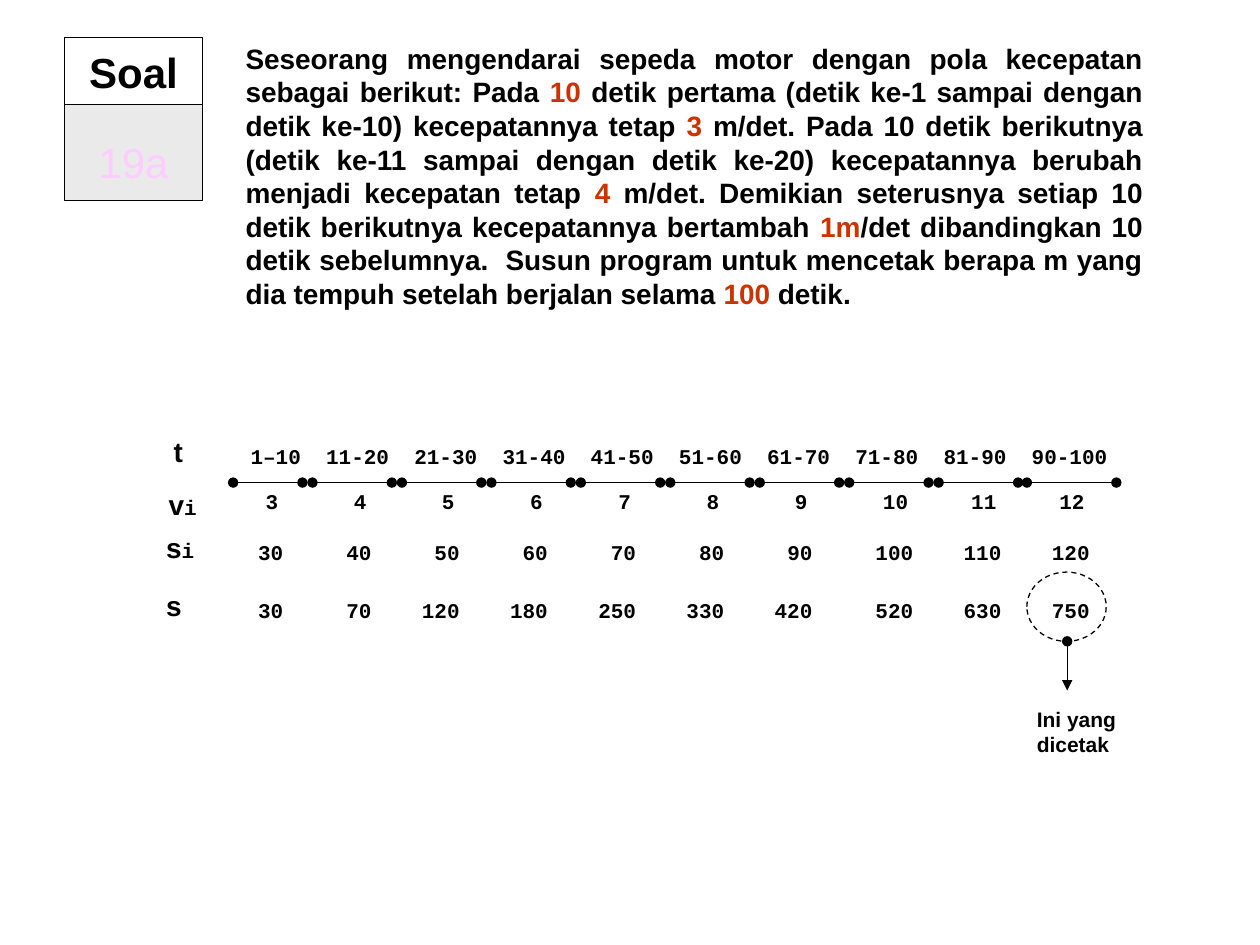
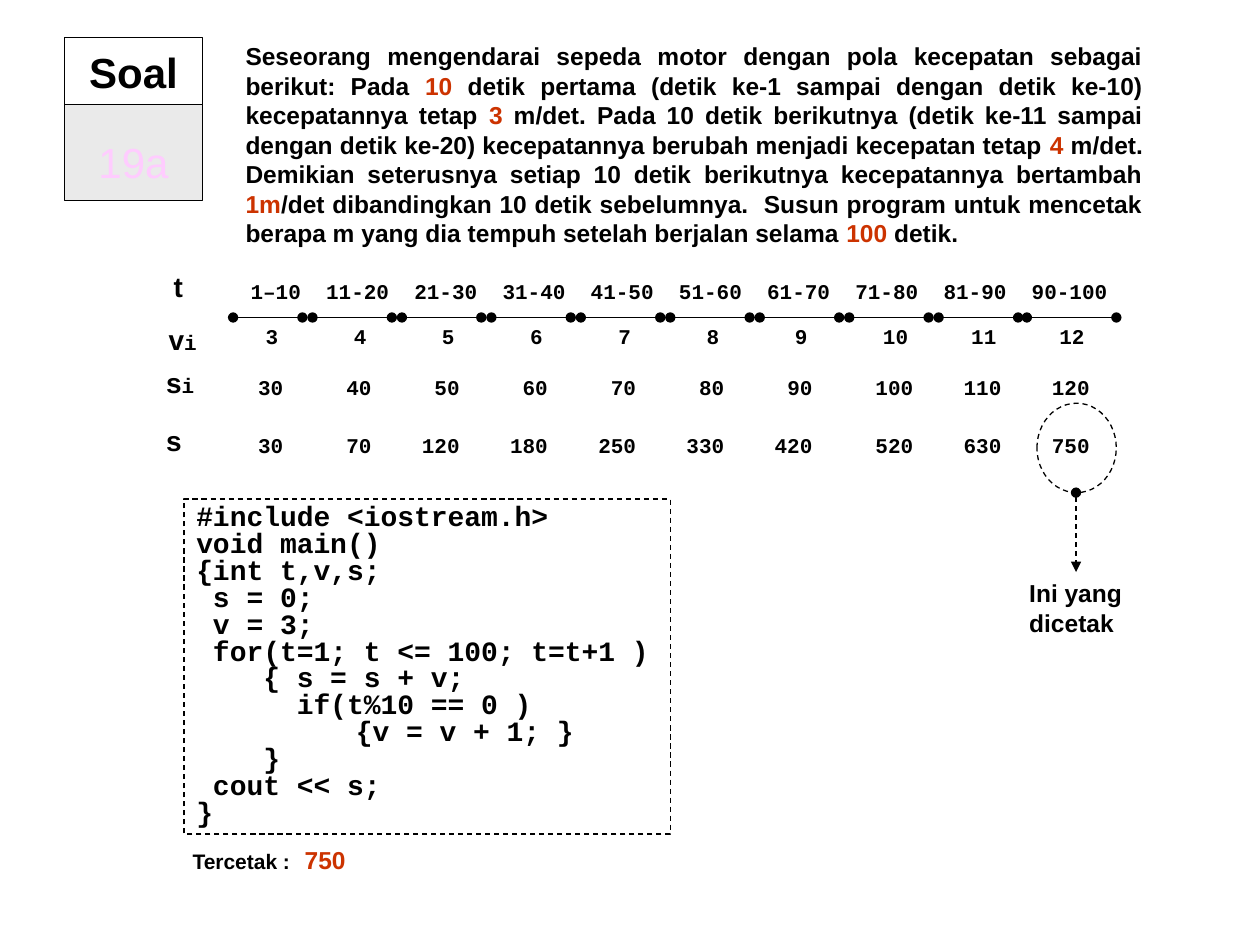
from pptx import Presentation
from pptx.dml.color import RGBColor
from pptx.enum.dml import MSO_LINE
from pptx.enum.shapes import MSO_CONNECTOR, MSO_SHAPE
from pptx.enum.text import MSO_ANCHOR, MSO_AUTO_SIZE, PP_ALIGN
from pptx.oxml.ns import qn
from pptx.util import Inches, Pt
from lxml.etree import SubElement

COLORS = {name: RGBColor.from_string(value) for name, value in {
    "ink": "000000", "accent": "CC3300", "panel": "EAEAEA", "number": "FFCCFF",
}.items()}
SANS, MONO = "Arial", "Courier New"

QUESTION = [
    ("Seseorang mengendarai sepeda motor dengan pola kecepatan sebagai berikut: Pada ", {}),
    ("10 ", {"color": "accent"}),
    ("detik pertama (detik ke-1 sampai dengan detik ke-10) kecepatannya tetap ", {}),
    ("3", {"color": "accent"}),
    (" m/det. Pada 10 detik berikutnya (detik ke-11 sampai dengan detik ke-20) "
     "kecepatannya berubah menjadi kecepatan tetap ", {}),
    ("4", {"color": "accent"}),
    (" m/det. Demikian seterusnya setiap 10 detik berikutnya kecepatannya bertambah ", {}),
    ("1m", {"color": "accent"}),
    ("/det dibandingkan 10 detik sebelumnya.  Susun program untuk mencetak berapa m yang "
     "dia tempuh setelah berjalan selama ", {}),
    ("100", {"color": "accent"}),
    (" detik.", {}),
]
CODE = """#include <iostream.h>
void main()
{int t,v,s;
 s = 0;
 v = 3;
 for(t=1; t <= 100; t=t+1 )
    { s = s + v;
      if(t%10 == 0 )
\t  {v = v + 1; }
    }
 cout << s;
}"""

EVEN_TABS = [0.7 * step for step in range(1, 10)]
TIME_TABS = [0.6 + 0.7 * step for step in range(9)]
TOTAL_TABS = [0.7, 1.3, 2, 2.7, 3.4, 4.1, 4.9, 5.6, 6.3]
SUBSCRIPT = ("i", {"size": 12, "font": MONO})
ROWS = [
    ([("t", {})], 1.28, 0, 1.89, 0.07, TIME_TABS,
     "1–10 11-20 21-30 31-40 41-50 51-60 61-70 71-80 81-90 90-100"),
    ([("v", {}), SUBSCRIPT], 1.24, 0.42, 2.01, 0.43, EVEN_TABS, "3 4 5 6 7 8 9 10 11 12"),
    ([("s", {}), SUBSCRIPT], 1.22, 0.76, 1.95, 0.83, EVEN_TABS,
     "30 40 50 60 70 80 90 100 110 120"),
    ([("s", {})], 1.22, 1.22, 1.95, 1.29, TOTAL_TABS,
     "30 70 120 180 250 330 420 520 630 750"),
]
INTERVALS = [(1.85, 2.4)] + [(2.48 + 0.71 * step, 3.11 + 0.71 * step) for step in range(8)]
INTERVALS.append((8.15, 8.86))

SLIDES = [
    {"question_size": 16, "question_height": 2.24, "table_top": 3.4,
     "circle": (8.15, 4.54, 0.63, 0.55), "arrow": (8.47, 5.09, 8.47, 5.48), "arrow_dash": None,
     "note": (8.13, 5.56, 1.28, 0.5), "note_size": 12, "code": False},
    {"question_size": 14, "question_height": 1.74, "table_top": 2.09,
     "circle": (8.23, 3.2, 0.63, 0.71), "arrow": (8.54, 3.91, 8.54, 4.54),
     "arrow_dash": MSO_LINE.DASH,
     "note": (8.07, 4.54, 1.18, 0.57), "note_size": 14, "code": True},
]


def add_text(page, at, spans, size, font=SANS, tabs=()):
    box = page.shapes.add_textbox(*map(Inches, at))
    box.text_frame.word_wrap = True
    para = box.text_frame.paragraphs[0]
    if tabs:
        stops = SubElement(para._p.get_or_add_pPr(), qn("a:tabLst"))
        for position in tabs:
            SubElement(stops, qn("a:tab"), pos=str(Inches(position)), algn="l")
    para.font.name, para.font.size, para.font.bold = font, Pt(size), True
    para.font.color.rgb = COLORS["ink"]
    for text, look in spans:
        span = para.add_run()
        span.text = text
        if "color" in look:
            span.font.color.rgb = COLORS[look["color"]]
        if "size" in look:
            span.font.size = Pt(look["size"])
        if "font" in look:
            span.font.name = look["font"]
    return box


def add_line(page, ends, tail, dash=None):
    line = page.shapes.add_connector(MSO_CONNECTOR.STRAIGHT, *map(Inches, ends))
    line.line.color.rgb = COLORS["ink"]
    line.line.width = Pt(0.75)
    if dash:
        line.line.dash_style = dash
    outline = line.line._get_or_add_ln()
    SubElement(outline, qn("a:headEnd"), type="oval")
    SubElement(outline, qn("a:tailEnd"), type=tail)
    SubElement(line._element.spPr, qn("a:effectLst"))


deck = Presentation()
deck.slide_width, deck.slide_height = Inches(10), Inches(7.5)

for content in SLIDES:
    page = deck.slides.add_slide(deck.slide_layouts[5])

    title = page.shapes.title
    title.left, title.top, title.width, title.height = map(Inches, (0.51, 0.3, 1.1, 0.53))
    title.line.color.rgb = COLORS["ink"]
    title.line.width = Pt(0.75)
    title.text_frame.text = "Soal"
    title.text_frame.word_wrap = False
    title.text_frame.auto_size = MSO_AUTO_SIZE.NONE

    number = page.shapes.add_shape(MSO_SHAPE.RECTANGLE, *map(Inches, (0.51, 0.83, 1.1, 0.76)))
    number.shadow.inherit = False
    number.fill.solid()
    number.fill.fore_color.rgb = COLORS["panel"]
    number.line.color.rgb = COLORS["ink"]
    number.line.width = Pt(0.75)
    number.text_frame.text = "19a"
    number.text_frame.margin_top = Inches(0.2)
    number.text_frame.vertical_anchor = MSO_ANCHOR.MIDDLE

    for shape, color, bold in [(title, "ink", True), (number, "number", False)]:
        para = shape.text_frame.paragraphs[0]
        para.alignment = PP_ALIGN.CENTER
        para.font.name, para.font.size, para.font.bold = SANS, Pt(24), bold
        para.font.color.rgb = COLORS[color]

    question = add_text(page, (1.85, 0.28, 7.32, content["question_height"]),
                        QUESTION, content["question_size"])
    question.text_frame.paragraphs[0].alignment = PP_ALIGN.JUSTIFY

    top = content["table_top"]
    for label, label_left, label_drop, left, drop, tabs, values in ROWS:
        add_text(page, (label_left, top + label_drop, 0.46, 0.37), label, 16)
        add_text(page, (left, top + drop, 7.2, 0.3),
                 [("\t".join(values.split()), {})], 12, MONO, tabs)
    for start, end in INTERVALS:
        add_line(page, (start, top + 0.43, end, top + 0.43), "oval")

    circle = page.shapes.add_shape(MSO_SHAPE.OVAL, *map(Inches, content["circle"]))
    outlined = [circle]
    add_line(page, content["arrow"], "triangle", content["arrow_dash"])
    add_text(page, content["note"], [("Ini yang dicetak", {})], content["note_size"])

    if content["code"]:
        listing = page.shapes.add_shape(MSO_SHAPE.RECTANGLE,
                                        *map(Inches, (1.46, 3.96, 3.86, 2.66)))
        outlined.append(listing)
        frame = listing.text_frame
        frame.word_wrap = True
        frame.vertical_anchor = MSO_ANCHOR.TOP
        frame.text = CODE
        for para in frame.paragraphs:
            para.alignment = PP_ALIGN.LEFT
            para.line_spacing = 0.8
            stops = SubElement(para._p.get_or_add_pPr(), qn("a:tabLst"))
            SubElement(stops, qn("a:tab"), pos=str(Inches(1)), algn="l")
            para.font.name, para.font.size, para.font.bold = MONO, Pt(16), True
            para.font.color.rgb = COLORS["ink"]
        add_text(page, (1.43, 6.66, 1.6, 0.34),
                 [("Tercetak :\t", {}), ("750", {"size": 14, "color": "accent"})],
                 12, tabs=[0.89])

    for shape in outlined:
        shape.shadow.inherit = False
        shape.fill.background()
        shape.line.color.rgb = COLORS["ink"]
        shape.line.width = Pt(0.75)
        shape.line.dash_style = MSO_LINE.DASH

deck.save("out.pptx")
